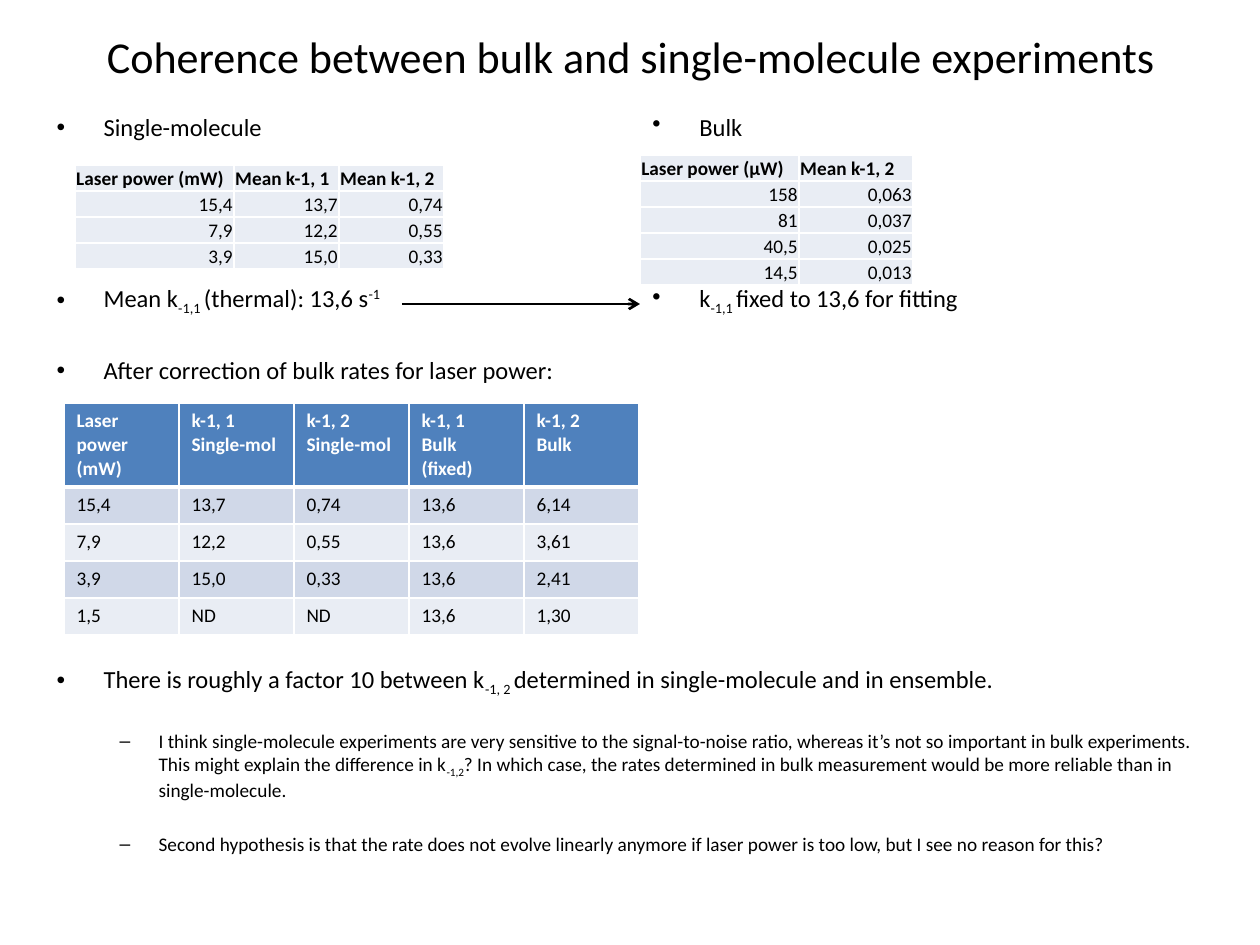
from lxml import etree
from pptx import Presentation
from pptx.dml.color import RGBColor
from pptx.enum.shapes import MSO_CONNECTOR
from pptx.enum.text import MSO_ANCHOR, MSO_AUTO_SIZE, PP_ALIGN
from pptx.oxml.ns import qn
from pptx.util import Emu, Inches, Pt

STRAIGHT = MSO_CONNECTOR.STRAIGHT
TOP, MIDDLE, BOTTOM = MSO_ANCHOR.TOP, MSO_ANCHOR.MIDDLE, MSO_ANCHOR.BOTTOM
LEFT, CENTER, RIGHT = PP_ALIGN.LEFT, PP_ALIGN.CENTER, PP_ALIGN.RIGHT
NO_AUTOFIT = MSO_AUTO_SIZE.NONE

PX_PER_INCH = 126
SUB, SUPER = -25000, 30000
BLACK, WHITE = "000000", "FFFFFF"
HEADER_BLUE, BAND_DARK, BAND_LIGHT = "4F81BD", "D0D8E8", "E9EDF4"
# Bullet, left margin and hanging indent (px), font size (pt) per level
LEVELS = [("•", 47, 47, 14), ("–", 102, 39, 11)]


def px(length):
    return Emu(round(length * 914400 / PX_PER_INCH))


def color(hex_string):
    return RGBColor.from_string(hex_string)


class SlideBuilder:
    font = "Calibri"
    table_size = 11

    def __init__(self, slide):
        self.slide = slide

    def place(self, shape, left, top, width, height):
        shape.left, shape.top = px(left), px(top)
        shape.width, shape.height = px(width), px(height)

    def run(self, paragraph, text, size, hex_color=BLACK, bold=False, baseline=0):
        run = paragraph.add_run()
        run.text = text
        run.font.name, run.font.size, run.font.bold = self.font, Pt(size), bold
        run.font.color.rgb = color(hex_color)
        if baseline:
            run.font._element.set("baseline", str(baseline))

    def title(self, text, box):
        title = self.slide.shapes.title
        self.place(title, *box)
        frame = title.text_frame
        frame.auto_size, frame.vertical_anchor = NO_AUTOFIT, MIDDLE
        frame.paragraphs[0].alignment = CENTER
        self.run(frame.paragraphs[0], text, 25.2)

    def body(self, items, box):
        body = self.slide.placeholders[1]
        self.place(body, *box)
        self.bullets(body.text_frame, items)

    def text_box(self, items, box):
        column = self.slide.shapes.add_textbox(*map(px, box))
        self.bullets(column.text_frame, items)

    def bullets(self, frame, items):
        """Fill a frame with (level, space before in pt, [(text, baseline), ...])."""
        frame.word_wrap, frame.auto_size = True, NO_AUTOFIT
        frame.vertical_anchor = TOP
        for index, (level, space_before, parts) in enumerate(items):
            paragraph = frame.add_paragraph() if index else frame.paragraphs[0]
            mark, margin, hanging, size = LEVELS[level]
            paragraph.level = level
            properties = paragraph._p.get_or_add_pPr()
            properties.set("marL", str(px(margin)))
            properties.set("indent", str(-px(hanging)))
            etree.SubElement(properties, qn("a:buChar"), char=mark)
            paragraph.alignment = LEFT
            paragraph.space_before = Pt(space_before)
            for text, baseline in parts:
                self.run(paragraph, text, size, baseline=baseline)

    def grid(self, rows, left, top, widths, heights):
        """Add an empty table of the given column widths and row heights."""
        frame = self.slide.shapes.add_table(
            len(rows), len(widths), px(left), px(top), px(sum(widths)), px(sum(heights)))
        table = frame.table
        table.horz_banding = False
        for column, width in zip(table.columns, widths):
            column.width = px(width)
        for row, height in zip(table.rows, heights):
            row.height = px(height)
        return table

    def cell(self, cell, text, fill, hex_color=BLACK, bold=False, align=LEFT,
             top_line=1, bottom_line=1):
        borders = {"a:lnL": 1, "a:lnR": 1, "a:lnT": top_line, "a:lnB": bottom_line}
        properties = cell._tc.get_or_add_tcPr()
        for tag, width in borders.items():
            line = etree.SubElement(properties, qn(tag), w=str(Pt(width)))
            solid = etree.SubElement(line, qn("a:solidFill"))
            etree.SubElement(solid, qn("a:srgbClr"), val=WHITE)
        cell.fill.solid()
        cell.fill.fore_color.rgb = color(fill)
        for index, line_text in enumerate(text.split("\n")):
            frame = cell.text_frame
            paragraph = frame.add_paragraph() if index else frame.paragraphs[0]
            paragraph.alignment = align
            self.run(paragraph, line_text, self.table_size, hex_color, bold)

    def compact_table(self, rows, left, top, widths):
        table = self.grid(rows, left, top, widths, [26] * len(rows))
        for r, values in enumerate(rows):
            for c, value in enumerate(values):
                cell = table.cell(r, c)
                cell.vertical_anchor = BOTTOM
                cell.margin_left = cell.margin_right = cell.margin_top = Inches(0.01)
                cell.margin_bottom = 0
                self.cell(cell, value, BAND_LIGHT, bold=r == 0,
                          align=RIGHT if r else LEFT)

    def banded_table(self, rows, left, top, widths, heights):
        table = self.grid(rows, left, top, widths, heights)
        for r, values in enumerate(rows):
            for c, value in enumerate(values):
                cell = table.cell(r, c)
                if r == 0:
                    self.cell(cell, value, HEADER_BLUE, WHITE, True, bottom_line=3)
                else:
                    self.cell(cell, value, BAND_DARK if r % 2 else BAND_LIGHT,
                              top_line=3 if r == 1 else 1)

    def arrow(self, x1, y1, x2, y2):
        arrow = self.slide.shapes.add_connector(STRAIGHT, px(x1), px(y1), px(x2), px(y2))
        arrow.line.color.rgb = color(BLACK)
        arrow.line.width = Pt(1.5)
        etree.SubElement(arrow.line._get_or_add_ln(), qn("a:tailEnd"), type="arrow")
        etree.SubElement(arrow._element.spPr, qn("a:effectLst"))


SINGLE_MOLECULE_NOTES = [
    (0, 0, [("Single-molecule", 0)]),
    (0, 80.6, [("Mean k", 0), ("-1,1 ", SUB), ("(thermal): 13,6 s", 0), ("-1", SUPER)]),
    (0, 22.2, [("After correction of bulk rates for laser power:", 0)]),
    (0, 159.5, [("There is roughly a factor 10 between k", 0), ("-1, 2 ", SUB),
                ("determined in single-molecule and in ensemble.", 0)]),
    (1, 18.4, [("I think single-molecule experiments are very sensitive to the "
                "signal-to-noise ratio, whereas it’s not so important in bulk "
                "experiments. This might explain the difference in k", 0),
               ("-1,2", SUB),
               ("? In which case, the rates determined in bulk measurement would be "
                "more reliable than in single-molecule.", 0)]),
    (1, 17.3, [("Second hypothesis is that the rate does not evolve linearly anymore "
                "if laser power is too low, but I see no reason for this?", 0)]),
]
BULK_NOTES = [
    (0, 0, [("Bulk", 0)]),
    (0, 80.6, [("k", 0), ("-1,1 ", SUB), ("fixed to 13,6 for fitting", 0)]),
]
SINGLE_MOLECULE_RATES = [
    ("Laser power (mW)", "Mean k-1, 1", "Mean k-1, 2"),
    ("15,4", "13,7", "0,74"),
    ("7,9", "12,2", "0,55"),
    ("3,9", "15,0", "0,33"),
]
BULK_RATES = [
    ("Laser power (µW)", "Mean k-1, 2"),
    ("158", "0,063"),
    ("81", "0,037"),
    ("40,5", "0,025"),
    ("14,5", "0,013"),
]
CORRECTED_RATES = [
    ("Laser power (mW)", "k-1, 1\nSingle-mol", "k-1, 2\nSingle-mol",
     "k-1, 1\nBulk (fixed)", "k-1, 2\nBulk"),
    ("15,4", "13,7", "0,74", "13,6", "6,14"),
    ("7,9", "12,2", "0,55", "13,6", "3,61"),
    ("3,9", "15,0", "0,33", "13,6", "2,41"),
    ("1,5", "ND", "ND", "13,6", "1,30"),
]


def main():
    presentation = Presentation()
    presentation.slide_width, presentation.slide_height = Inches(10), Inches(7.5)
    builder = SlideBuilder(presentation.slides.add_slide(presentation.slide_layouts[1]))

    builder.title("Coherence between bulk and single-molecule experiments",
                  (64, 6, 1134, 100))
    builder.body(SINGLE_MOLECULE_NOTES, (44, 106, 1171, 814))
    builder.compact_table(SINGLE_MOLECULE_RATES, 75, 165, [159, 105, 105])
    builder.text_box(BULK_NOTES, (640, 106, 597, 814))
    builder.compact_table(BULK_RATES, 640, 155, [159, 114])
    builder.banded_table(CORRECTED_RATES, 64, 403, [115] * 5, [83] + [37] * 4)
    builder.arrow(402, 304, 640, 304)

    presentation.save("out.pptx")


if __name__ == "__main__":
    main()
